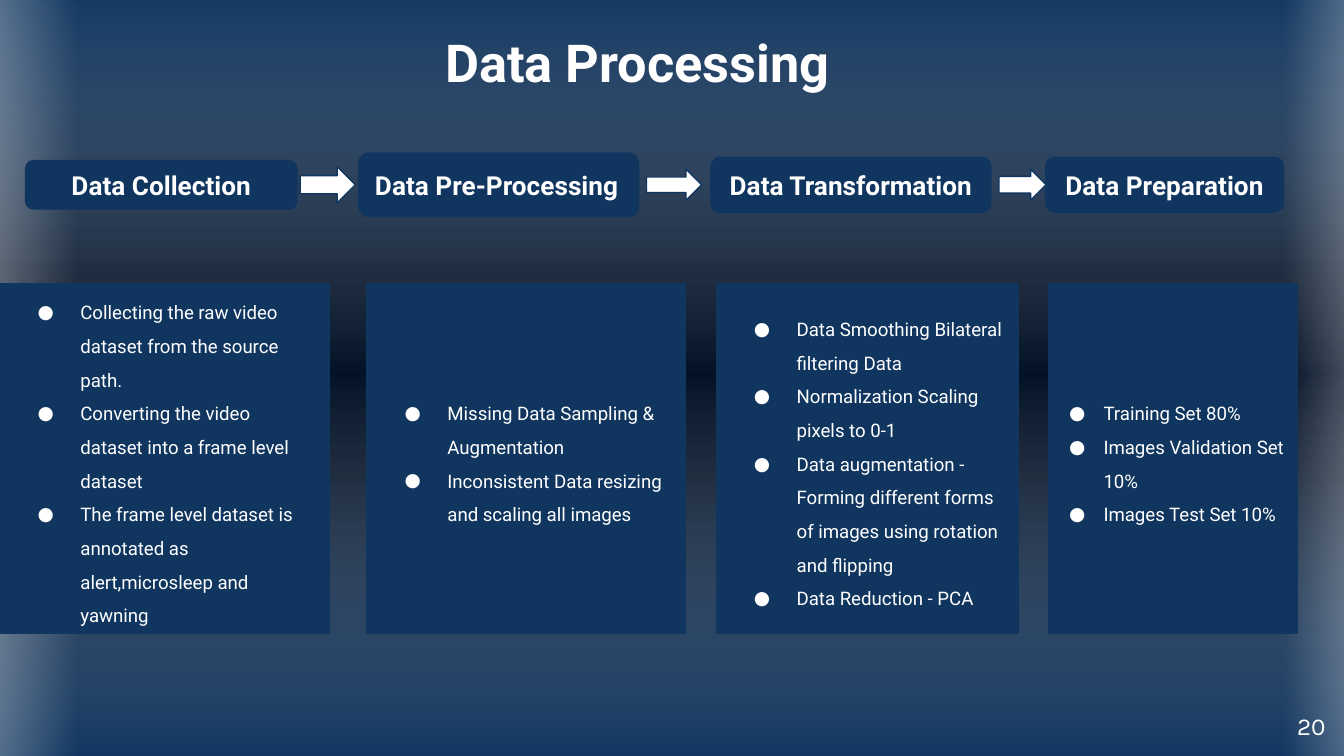
import pptx
import pptx.dml.color
import pptx.enum.shapes
import pptx.enum.text
import pptx.oxml
import pptx.oxml.ns
import pptx.util

Pt = pptx.util.Pt
qn = pptx.oxml.ns.qn
SHAPES = pptx.enum.shapes.MSO_SHAPE
ALIGN = pptx.enum.text.PP_ALIGN
ANCHOR = pptx.enum.text.MSO_ANCHOR

NAVY, NIGHT, WHITE = "10355F", "031126", "FFFFFF"
FLOW_MIDDLE = 99
PANEL_TOP, PANEL_HEIGHT = 151.9, 187.2

STAGES = [
    {"name": "Data Collection", "box": (13.7, 145.4, 26), "align": ALIGN.CENTER,
     "panel": (0, 176.4), "indent": (36, -23),
     "steps": ["Collecting the raw video dataset from the source path.",
               "Converting the video dataset into a frame level dataset",
               "The frame level dataset is annotated as alert,microsleep and yawning"]},
    {"name": "Data Pre-Processing", "box": (192.2, 150, 34), "align": ALIGN.LEFT,
     "panel": (196.6, 170.8), "indent": (36, -23),
     "steps": ["Missing Data Sampling & Augmentation",
               "Inconsistent Data resizing and scaling all images"]},
    {"name": "Data Transformation", "box": (380.9, 150, 29.5), "align": ALIGN.CENTER,
     "panel": (383.7, 162), "indent": (36, -23),
     "steps": ["Data Smoothing Bilateral filtering Data",
               "Normalization Scaling pixels to 0-1",
               "Data augmentation - Forming different forms of images using rotation and flipping",
               "Data Reduction - PCA"]},
    {"name": "Data Preparation", "box": (560.2, 127.4, 29.5), "align": ALIGN.CENTER,
     "panel": (561.6, 133.2), "indent": (22.5, -18.5),
     "steps": ["Training Set 80%", "Images Validation Set 10%", "Images Test Set 10%"]},
]
ARROWS = [(160.8, 29.5, 19.4, 0.5), (346.3, 29.5, 16.6, 0.5), (535.2, 25.2, 16.6, 0.54)]


def color(value):
    """Turn a hex string into a colour."""
    return pptx.dml.color.RGBColor.from_string(value)


def paint_gradient(fill, owner, stops, angle):
    """Fill with a linear gradient of (position, colour, opacity) stops in percent."""
    fill.gradient()
    fill.gradient_angle = angle
    stop_list = next(owner.iter(qn("a:gsLst")))
    for stop in list(stop_list):
        stop_list.remove(stop)
    for position, value, opacity in stops:
        stop_list.append(pptx.oxml.parse_xml(
            f'<a:gs {pptx.oxml.ns.nsdecls("a")} pos="{position * 1000}">'
            f'<a:srgbClr val="{value}"><a:alpha val="{opacity * 1000}"/></a:srgbClr></a:gs>'))


def add_glow(slide, bounds, rotation, stops):
    """Add a borderless rectangle with a translucent gradient."""
    glow = slide.shapes.add_shape(SHAPES.RECTANGLE, *map(Pt, bounds))
    glow.shadow.inherit = False
    glow.rotation = rotation
    glow.line.fill.background()
    paint_gradient(glow.fill, glow._element, stops, 180)


def add_block(slide, kind, bounds, fill):
    """Add a solid shape with a thin navy outline."""
    block = slide.shapes.add_shape(kind, *map(Pt, bounds))
    block.shadow.inherit = False
    block.fill.solid()
    block.fill.fore_color.rgb = color(fill)
    block.line.color.rgb = color(NAVY)
    block.line.width = Pt(0.75)
    return block


def write(frame, lines, size, align, anchor, font="Roboto", bold=False, indent=None):
    """Write paragraphs in white, bulleted when an indent is given."""
    frame.word_wrap = True
    frame.vertical_anchor = anchor
    frame.margin_left = frame.margin_right = Pt(7.2)
    frame.margin_top = frame.margin_bottom = Pt(7.2)
    frame.text = "\n".join(lines)
    for paragraph in frame.paragraphs:
        paragraph.alignment = align
        if indent:
            add_bullet(paragraph, *indent)
        for run in paragraph.runs:
            run.font.size = Pt(size)
            run.font.name = font
            run.font.bold = bold
            run.font.color.rgb = color(WHITE)


def add_bullet(paragraph, margin, hanging):
    """Give a paragraph a white round bullet and wide line spacing."""
    paragraph.line_spacing = 1.5
    properties = paragraph._p.get_or_add_pPr()
    properties.set("marL", str(Pt(margin)))
    properties.set("indent", str(Pt(hanging)))
    namespace = pptx.oxml.ns.nsdecls("a")
    for xml in (f'<a:buClr {namespace}><a:srgbClr val="{WHITE}"/></a:buClr>',
                f'<a:buFont {namespace} typeface="Roboto"/>',
                f'<a:buChar {namespace} char="●"/>'):
        properties.append(pptx.oxml.parse_xml(xml))


def add_label(slide, bounds, text, size, align, anchor, **style):
    """Add a text box with one line."""
    label = slide.shapes.add_textbox(*map(Pt, bounds))
    write(label.text_frame, [text], size, align, anchor, **style)


def add_stage(slide, stage):
    """Add a stage's heading and the panel with its steps."""
    left, width, height = stage["box"]
    heading = add_block(slide, SHAPES.ROUNDED_RECTANGLE,
                        (left, FLOW_MIDDLE - height / 2, width, height), NAVY)
    write(heading.text_frame, [stage["name"]], 14, stage["align"], ANCHOR.MIDDLE, bold=True)
    left, width = stage["panel"]
    panel = add_block(slide, SHAPES.RECTANGLE, (left, PANEL_TOP, width, PANEL_HEIGHT), NAVY)
    write(panel.text_frame, stage["steps"], 10, ALIGN.LEFT, ANCHOR.MIDDLE,
          indent=stage["indent"])


def add_arrow(slide, left, width, height, shaft):
    """Add a white block arrow between two stages."""
    arrow = add_block(slide, SHAPES.RIGHT_ARROW,
                      (left, FLOW_MIDDLE - height / 2, width, height), WHITE)
    arrow.adjustments[0] = shaft


def add_backdrop(slide):
    """Paint the background, its navy veil and the light side edges."""
    paint_gradient(slide.background.fill, slide._element,
                   [(0, NAVY, 100), (37, NIGHT, 100), (63, NIGHT, 100), (100, NAVY, 100)], 270)
    add_glow(slide, (158.4, -167.8, 418.3, 735.1), 270,
             [(0, NAVY, 59), (50, WHITE, 0), (100, NAVY, 59)])
    edge = [(0, WHITE, 47), (100, WHITE, 0)]
    add_glow(slide, (-29.5, -6.5, 70.6, 417.6), 180, edge)
    add_glow(slide, (688.3, -9.4, 61.2, 417.6), 0, edge)


def main():
    """Build the slide and save it."""
    deck = pptx.Presentation()
    deck.slide_width, deck.slide_height = Pt(720), Pt(405)
    slide = deck.slides.add_slide(deck.slide_layouts[6])
    add_backdrop(slide)
    add_label(slide, (203.8, 10.1, 275, 46.8), "Data Processing", 28,
              ALIGN.CENTER, ANCHOR.BOTTOM, bold=True)
    for stage in STAGES:
        add_stage(slide, stage)
    for arrow in ARROWS:
        add_arrow(slide, *arrow)
    add_label(slide, (673.9, 373.7, 43.2, 31), "20", 13, ALIGN.RIGHT, ANCHOR.TOP, font="Karla")
    deck.save("out.pptx")


if __name__ == "__main__":
    main()
